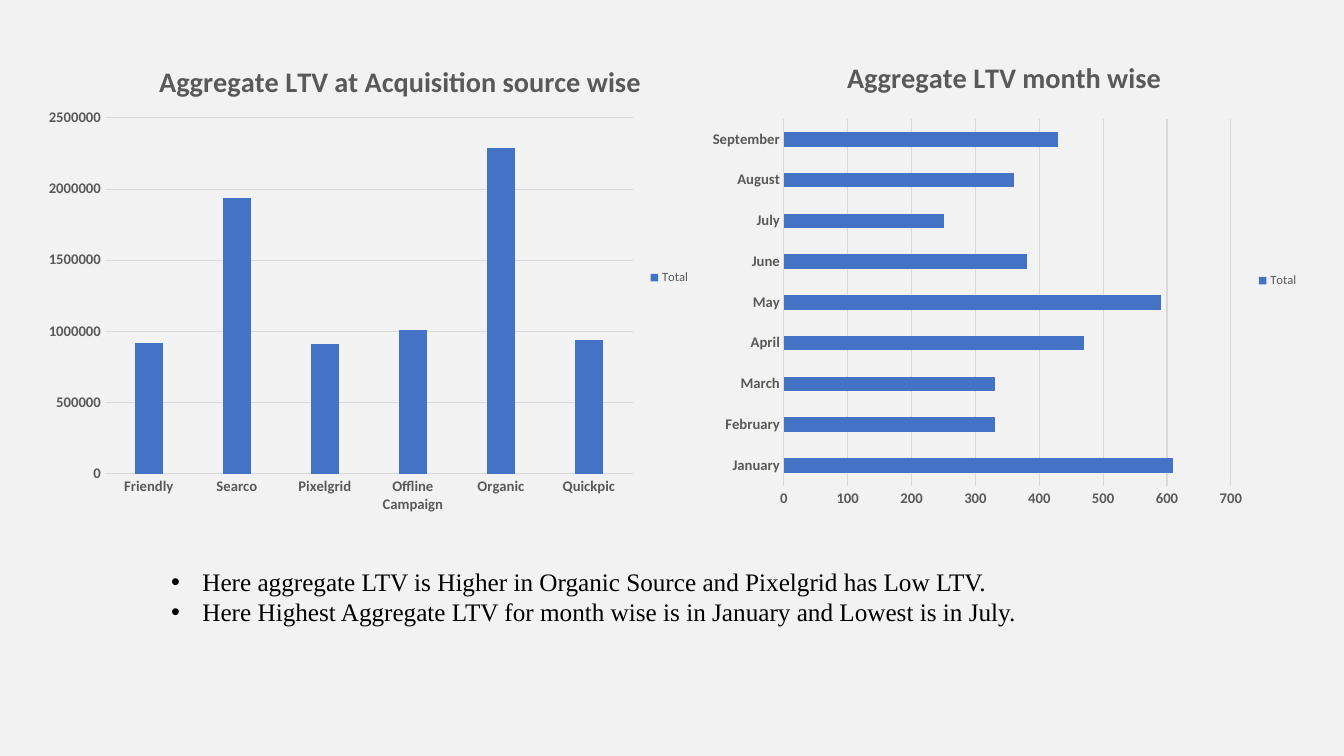
from lxml.etree import SubElement
from pptx import Presentation
from pptx.chart.data import CategoryChartData
from pptx.dml.color import RGBColor
from pptx.enum.chart import XL_CHART_TYPE, XL_LEGEND_POSITION, XL_TICK_MARK
from pptx.oxml import parse_xml
from pptx.oxml.ns import nsdecls, qn
from pptx.util import Inches, Pt

deck = Presentation()
deck.slide_width, deck.slide_height = Inches(13.33), Inches(7.5)
slide = deck.slides.add_slide(deck.slide_layouts[6])

# Grid: 100 columns by 100 rows
COL, ROW = deck.slide_width / 100, deck.slide_height / 100
GREY, RULE, BAR = "595959", "D9D9D9", "4472C4"


def style(font, size, color, bold=False, name="Calibri"):
    font.size, font.bold, font.name = Pt(size), bold, name
    font.color.rgb = RGBColor.from_string(color)


def chart_layout(frame, area, inner=False):
    """Layout of an area, given on the slide's grid, inside a chart frame."""
    left, top, width, height = frame
    shares = {"x": (area[0] - left) / width, "y": (area[1] - top) / height}
    if inner:
        shares.update(w=area[2] / width, h=area[3] / height)
    target = '<c:layoutTarget val="inner"/>' if inner else ""
    modes = "".join(f'<c:{key}Mode val="edge"/>' for key in "xy")
    values = "".join(f'<c:{key} val="{share:.4f}"/>' for key, share in shares.items())
    return parse_xml(f'<c:layout {nsdecls("c")}><c:manualLayout>{target}{modes}{values}'
                     '</c:manualLayout></c:layout>')


# Background
background = slide.background.fill
background.solid()
background.fore_color.rgb = RGBColor.from_string("F2F2F2")

# Charts: type, title, title corner, frame, plot, gap, overlap, scale, values
by_source = {"Friendly": 920000, "Searco": 1940000, "Pixelgrid": 910000,
             "Offline Campaign": 1010000, "Organic": 2290000, "Quickpic": 940000}
by_month = {"January": 610, "February": 330, "March": 330, "April": 470, "May": 590,
            "June": 380, "July": 250, "August": 360, "September": 430}
charts = [
    (XL_CHART_TYPE.COLUMN_CLUSTERED, "Aggregate LTV at Acquisition source wise", (11.46, 7.5),
     (2.63, 4.27, 49.5, 64.93), (7.81, 15.61, 39.29, 47.09), 219, -27, (2500000, 500000), by_source),
    (XL_CHART_TYPE.BAR_CLUSTERED, "Aggregate LTV month wise", (62.65, 7),
     (52.14, 5.73, 45.24, 62.8), (58.33, 15.74, 33.26, 48.54), 182, 0, (700, 100), by_month),
]
for kind, heading, corner, frame, plot_area, gap, overlap, scale, ltv in charts:
    data = CategoryChartData()
    data.categories = list(ltv)
    data.add_series("Total", list(ltv.values()))
    left, top, width, height = frame
    chart = slide.shapes.add_chart(kind, int(left * COL), int(top * ROW),
                                   int(width * COL), int(height * ROW), data).chart
    style(chart.font, 10, "000000")

    # Title
    title = chart.chart_title
    title.text_frame.text = heading
    style(title.text_frame.paragraphs[0].font, 20.2, GREY, bold=True)

    # Legend
    chart.has_legend = True
    chart.legend.position = XL_LEGEND_POSITION.RIGHT
    chart.legend.include_in_layout = False
    style(chart.legend.font, 9, GREY)

    # Bars
    plot = chart.plots[0]
    plot.gap_width, plot.overlap, plot.vary_by_categories = gap, overlap, False
    bars = plot.series[0].format.fill
    bars.solid()
    bars.fore_color.rgb = RGBColor.from_string(BAR)

    # Axes
    categories, amounts = chart.category_axis, chart.value_axis
    for axis in (categories, amounts):
        axis.major_tick_mark = axis.minor_tick_mark = XL_TICK_MARK.NONE
        style(axis.tick_labels.font, 10.5, GREY, bold=True)
    amounts.minimum_scale = 0
    amounts.maximum_scale, amounts.major_unit = scale
    amounts.has_major_gridlines = True
    amounts.format.line.fill.background()
    for line in (categories.format.line, amounts.major_gridlines.format.line):
        line.width = Pt(0.75)
        line.color.rgb = RGBColor.from_string(RULE)

    # Places of the title and the plot
    title_xml = title._element
    plot_xml = chart._chartSpace.chart.plotArea
    for part in (title_xml, plot_xml):
        for automatic in part.findall(qn("c:layout")):
            part.remove(automatic)
    title_xml.find(qn("c:tx")).addnext(chart_layout(frame, corner))
    plot_xml.insert(0, chart_layout(frame, plot_area, inner=True))

# Findings
findings = slide.shapes.add_textbox(int(12 * COL), int(74.27 * ROW),
                                    int(67.9 * COL), int(9.47 * ROW)).text_frame
findings.word_wrap = True
findings.text = ("Here aggregate LTV is Higher in Organic Source and Pixelgrid has Low LTV.\n"
                 "Here Highest Aggregate LTV for month wise is in January and Lowest is in July.")
for finding in findings.paragraphs:
    style(finding.font, 18, "000000", name="Times New Roman")
    indent = finding._p.get_or_add_pPr()
    indent.set("marL", str(Inches(0.31)))
    indent.set("indent", str(-Inches(0.31)))
    bullet_font = SubElement(indent, qn("a:buFont"), typeface="Arial")
    bullet_font.addnext(indent.makeelement(qn("a:buChar"), {"char": "•"}))
    indent.append(indent.find(qn("a:defRPr")))

deck.save("out.pptx")
